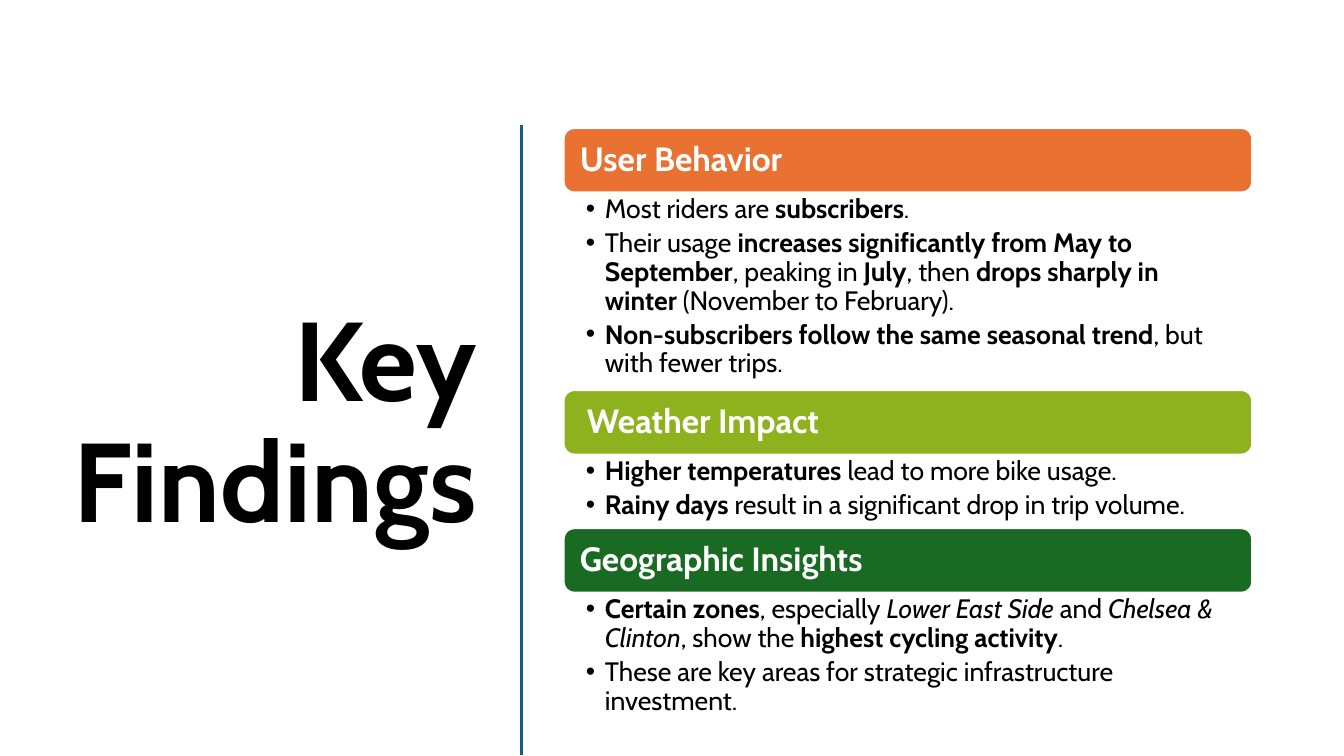
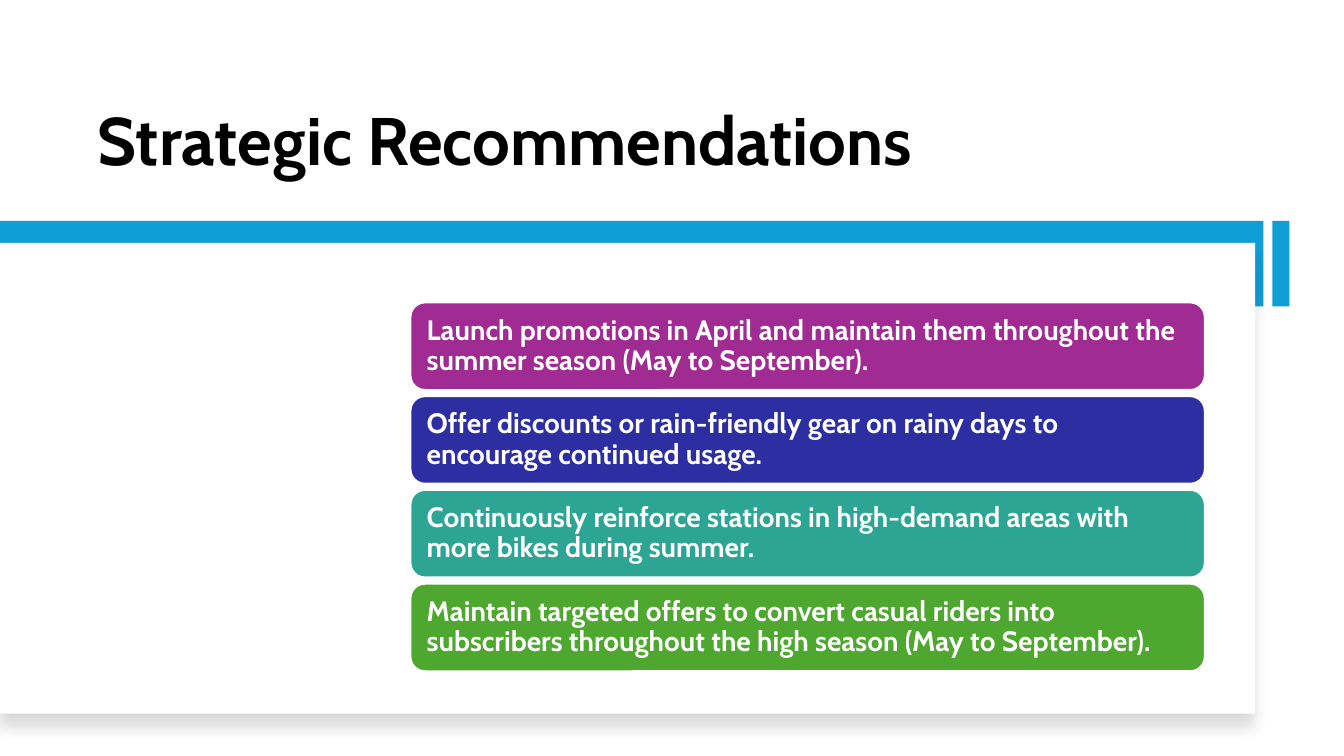
import pptx
import pptx.util
import pptx.dml.color
import pptx.enum.shapes
import pptx.enum.text
import pptx.oxml
import pptx.oxml.ns
from lxml import etree

Inches = pptx.util.Inches
Pt = pptx.util.Pt
rgb = pptx.dml.color.RGBColor.from_string
MSO = pptx.enum.shapes.MSO_SHAPE
ANCHOR = pptx.enum.text.MSO_ANCHOR
ALIGN = pptx.enum.text.PP_ALIGN
qn = pptx.oxml.ns.qn

FONT, BLACK, WHITE, BLUE, RULE = "Cabin", "000000", "FFFFFF", "0F9ED5", "156082"


def box(s, geom, at, fill, line=None):
    sp = s.shapes.add_shape(geom, *[Inches(v) for v in at])
    sp.shadow.inherit = False
    sp.fill.solid()
    sp.fill.fore_color.rgb = rgb(fill)
    if line:
        sp.line.color.rgb = rgb(line)
        sp.line.width = Pt(1.5)
    else:
        sp.line.fill.background()
    return sp


def write(sp, paras, size, color, insets, anchor, align=ALIGN.LEFT, after=0, at=None):
    if at:
        for name, v in zip(("left", "top", "width", "height"), at):
            setattr(sp, name, Inches(v))
    tf = sp.text_frame
    frame = {"word_wrap": True, "auto_size": pptx.enum.text.MSO_AUTO_SIZE.NONE,
             "vertical_anchor": anchor}
    for side, v in zip(("left", "top", "right", "bottom"), insets):
        frame["margin_" + side] = Inches(v)
    for name, v in frame.items():
        setattr(tf, name, v)
    spacing = {"alignment": align, "line_spacing": 0.9,
               "space_before": Pt(0), "space_after": Pt(after)}
    for i, runs in enumerate(paras):
        p = tf.add_paragraph() if i else tf.paragraphs[0]
        for name, v in spacing.items():
            setattr(p, name, v)
        for text, mark in runs:
            r = p.add_run()
            r.text = text
            look = {"name": FONT, "size": Pt(size), "bold": mark == "b", "italic": mark == "i"}
            for name, v in look.items():
                setattr(r.font, name, v)
            r.font.color.rgb = rgb(color)
    return tf


prs = pptx.Presentation()
prs.slide_width = Inches(13.33)
prs.slide_height = Inches(7.5)
TITLE = {"color": BLACK, "insets": (0.1, 0.05, 0.1, 0.05)}

s = prs.slides.add_slide(prs.slide_layouts.get_by_name("Comparison"))
write(s.shapes.title, [[("Key Findings", "b")]], 80, anchor=ANCHOR.MIDDLE,
      align=ALIGN.RIGHT, at=(0.52, 1.17, 4.31, 6.11), **TITLE)

rule = s.shapes.add_connector(pptx.enum.shapes.MSO_CONNECTOR.STRAIGHT,
                              Inches(5.17), Inches(1.24), Inches(5.17), Inches(7.49))
rule.line.color.rgb = rgb(RULE)
rule.line.width = Pt(2)
etree.SubElement(rule._element.spPr, qn("a:effectLst"))

sections = [
    ("User Behavior", "E97132", 1.27, 1.96, 0.13, [
        [("Most riders are ", ""), ("subscribers", "b"), (".", "")],
        [("Their usage ", ""), ("increases significantly from May to September", "b"),
         (", peaking in ", ""), ("July", "b"), (", then ", ""),
         ("drops sharply in winter", "b"), (" (November to February).", "")],
        [("Non-subscribers follow the same seasonal trend", "b"),
         (", but with fewer trips.", "")]]),
    ("Weather Impact", "8EB21E", 3.87, 0.72, 0.2, [
        [("Higher temperatures", "b"), (" lead to more bike usage.", "")],
        [("Rainy days", "b"), (" result in a significant drop in trip volume.", "")]]),
    ("Geographic Insights", "196B24", 5.24, 1.3, 0.13, [
        [("Certain zones", "b"), (", especially ", ""), ("Lower East Side", "i"),
         (" and ", ""), ("Chelsea & Clinton", "i"), (", show the ", ""),
         ("highest cycling activity", "b"), (".", "")],
        [("These are key areas for strategic infrastructure investment.", "")]]),
]
bodies = [ph for ph in s.placeholders if ph.placeholder_format.idx > 0]
for (heading, color, top, height, pad, items), body in zip(sections, bodies):
    bar = box(s, MSO.ROUNDED_RECTANGLE, (5.59, top, 6.83, 0.64), color, WHITE)
    write(bar, [[(heading, "b")]], 24, WHITE, (pad, 0.1, 0.13, 0.1), ANCHOR.MIDDLE)
    tf = write(body, items, 19, BLACK, (0.22, 0.03, 0.19, 0.03), ANCHOR.TOP,
               after=3.8, at=(5.59, top + 0.64, 6.83, height))
    for p in tf.paragraphs:
        pPr = p._p.get_or_add_pPr()
        pPr.set("marL", str(Inches(0.19)))
        pPr.set("indent", str(-Inches(0.19)))
        etree.SubElement(pPr, qn("a:buFont")).set("typeface", "Arial")
        etree.SubElement(pPr, qn("a:buChar")).set("char", "•")
for ph in bodies[len(sections):]:
    ph._element.getparent().remove(ph._element)

s = prs.slides.add_slide(prs.slide_layouts.get_by_name("Title Only"))
write(s.shapes.title, [[("Strategic Recommendations", "b")]], 48, anchor=ANCHOR.BOTTOM,
      at=(0.87, 0.42, 11.09, 1.42), **TITLE)

box(s, MSO.RECTANGLE, (0, 2.19, 12.53, 0.85), BLUE)
panel = box(s, MSO.RECTANGLE, (0, 2.41, 12.45, 4.67), WHITE)
box(s, MSO.RECTANGLE, (12.62, 2.19, 0.17, 0.85), BLUE)

effects = panel._element.spPr.find(qn("a:effectLst"))
shadow = etree.SubElement(effects, qn("a:outerShdw"))
for name, v in {"blurRad": Pt(11), "dist": Pt(10), "dir": 90 * 60000,
                "algn": "t", "rotWithShape": 0}.items():
    shadow.set(name, str(v))
tint = etree.SubElement(shadow, qn("a:srgbClr"))
tint.set("val", BLACK)
etree.SubElement(tint, qn("a:alpha")).set("val", "15000")

recommendations = [
    ("A02B93", "Launch promotions in April and maintain them throughout the summer season (May to September)."),
    ("2C2EA2", "Offer discounts or rain-friendly gear on rainy days to encourage continued usage."),
    ("2DA594", "Continuously reinforce stations in high-demand areas with more bikes during summer."),
    ("4EA72E", "Maintain targeted offers to convert casual riders into subscribers throughout the high season (May to September)."),
]
for i, (color, text) in enumerate(recommendations):
    card = box(s, MSO.ROUNDED_RECTANGLE, (4.07, 3 + 0.93 * i, 7.88, 0.87), color, WHITE)
    write(card, [[(text, "b")]], 20, WHITE, (0.12, 0.08, 0.12, 0.08), ANCHOR.MIDDLE)

prs.save("out.pptx")
